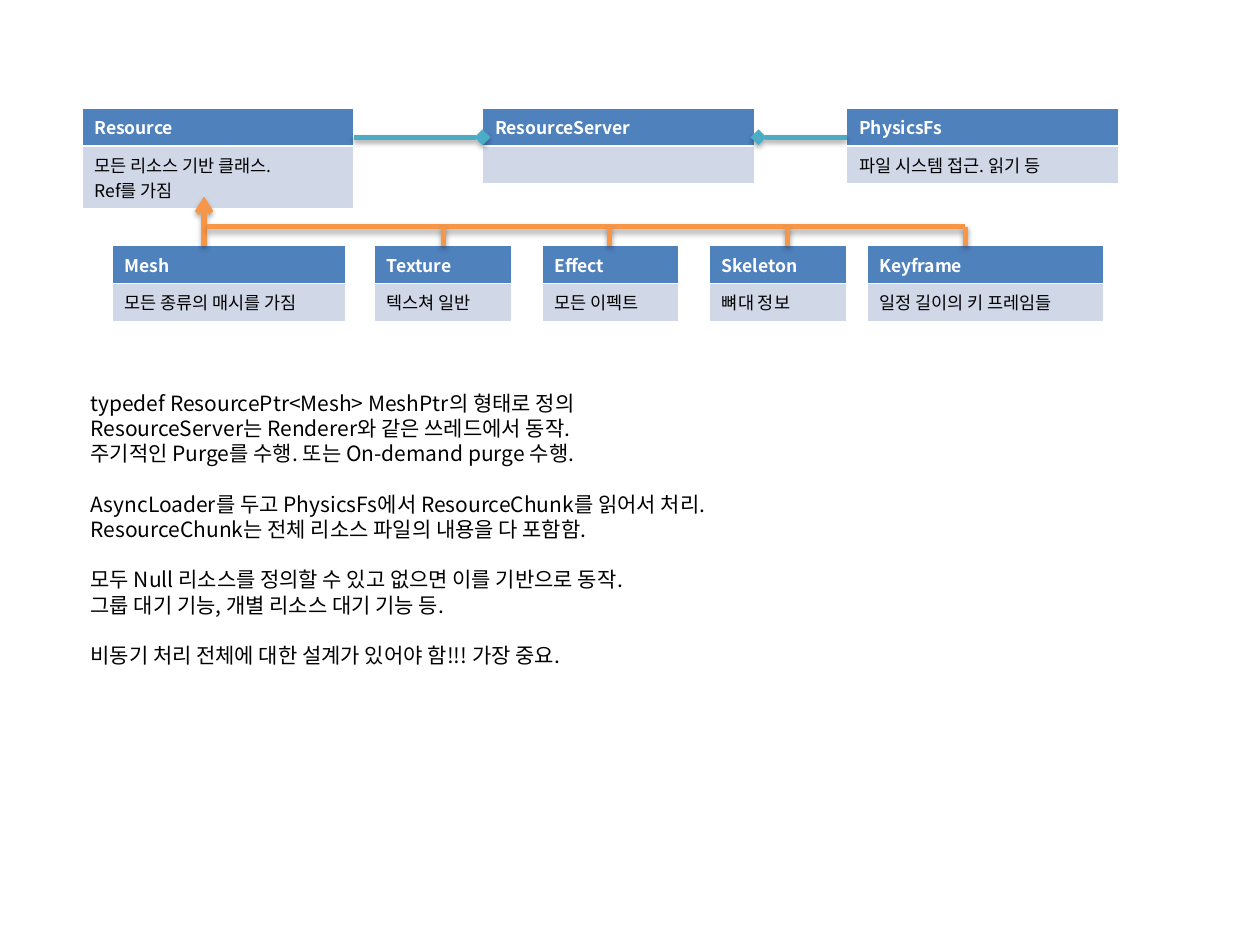
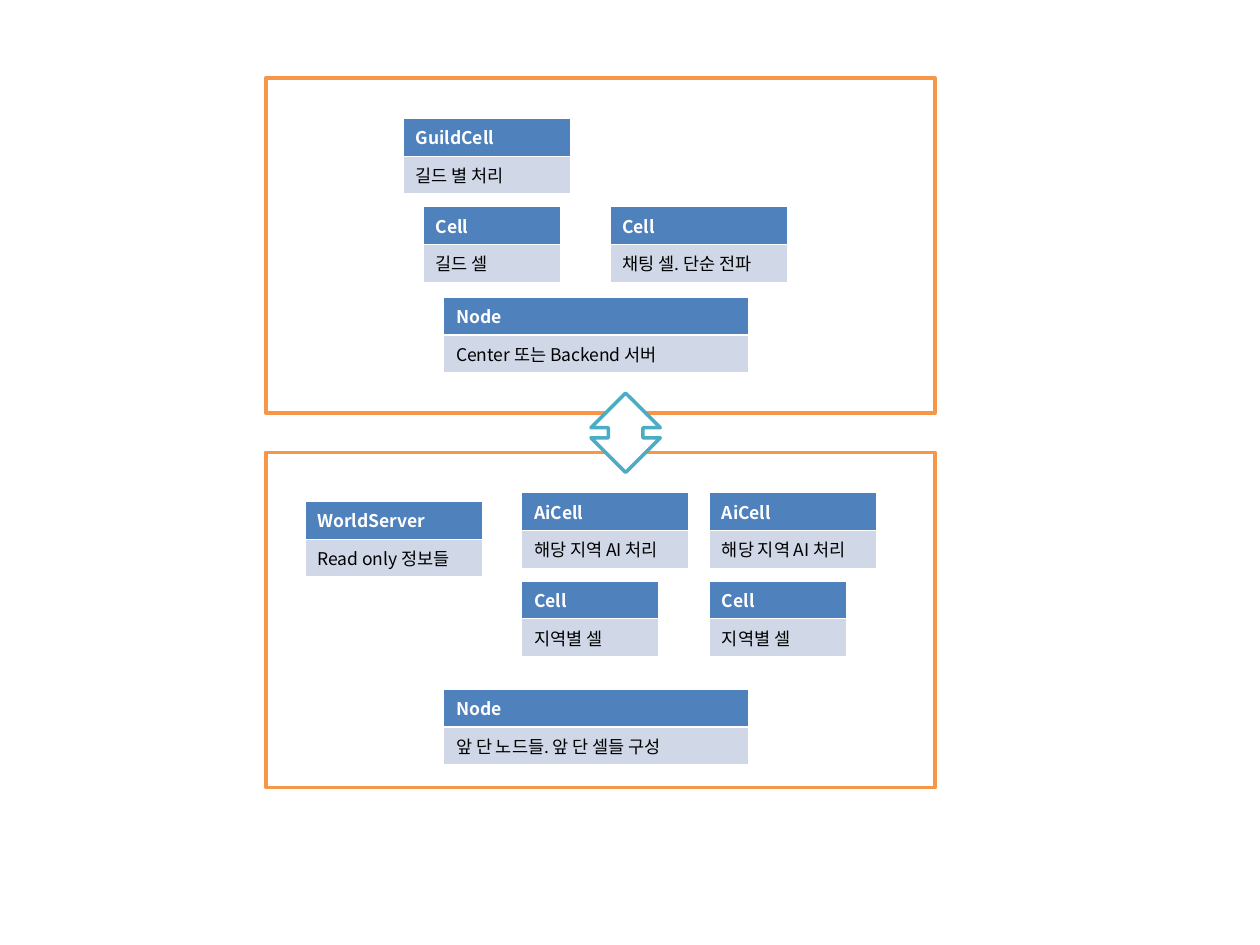
from dataclasses import dataclass

from lxml import etree
from pptx import Presentation
from pptx.dml.color import RGBColor
from pptx.enum.shapes import MSO_CONNECTOR, MSO_SHAPE
from pptx.oxml.ns import qn
from pptx.util import Inches, Pt

STRAIGHT = MSO_CONNECTOR.STRAIGHT
RECTANGLE = MSO_SHAPE.RECTANGLE
UP_DOWN_ARROW = MSO_SHAPE.UP_DOWN_ARROW

FONT = "Noto Sans CJK KR"
COLORS = {
    "header": "4F81BD",
    "body": "D0D8E8",
    "white": "FFFFFF",
    "text": "000000",
    "inherit": "F79646",
    "own": "4BACC6",
}
BLANK_LAYOUT = 6
HEADER_HEIGHT = 0.27
BODY_HEIGHT = 0.26
TALL_BODY_HEIGHT = 0.43
NOTE_LINE = Pt(14.4)

SERVER_TOP = 0.86
SERVER_WIDTH = 2.16
OWN_Y = 1.09
CHILD_TOP = 1.95
BUS_Y = 1.8
SMALL_WIDTH = 1.09
CELL_WIDTH = 1.33
WIDE_CELL_WIDTH = 1.41
NODE_LEFT, NODE_WIDTH = 3.52, 2.42
FRAME_LEFT, FRAME_WIDTH, FRAME_HEIGHT = 2.11, 5.31, 2.66


@dataclass
class ClassBox:
    name: str
    description: str
    left: float
    top: float
    width: float
    body_height: float = BODY_HEIGHT


@dataclass
class Link:
    start: tuple[float, float]
    end: tuple[float, float]
    color: str
    head: str = ""
    tail: str = ""


SERVER_BOXES = [
    ClassBox("Resource", "모든 리소스 기반 클래스. \nRef를 가짐", 0.65, SERVER_TOP,
             SERVER_WIDTH, TALL_BODY_HEIGHT),
    ClassBox("ResourceServer", "", 3.83, SERVER_TOP, SERVER_WIDTH),
    ClassBox("PhysicsFs", "파일 시스템 접근. 읽기 등", 6.72, SERVER_TOP, SERVER_WIDTH),
]
CHILD_BOXES = [
    ClassBox("Mesh", "모든 종류의 매시를 가짐", 0.89, CHILD_TOP, 1.85),
    ClassBox("Texture", "텍스쳐 일반", 2.97, CHILD_TOP, SMALL_WIDTH),
    ClassBox("Effect", "모든 이펙트", 4.3, CHILD_TOP, SMALL_WIDTH),
    ClassBox("Skeleton", "뼈대 정보", 5.63, CHILD_TOP, SMALL_WIDTH),
    ClassBox("Keyframe", "일정 길이의 키 프레임들", 6.88, CHILD_TOP, 1.88),
]
STEMS = [3.52, 4.84, 6.25, 7.66]
RESOURCE_LINKS = [
    Link((6.02, OWN_Y), (6.72, OWN_Y), "own", head="diamond"),
    Link((3.83, OWN_Y), (2.81, OWN_Y), "own", head="diamond"),
    Link((1.62, CHILD_TOP), (1.62, 1.56), "inherit", tail="arrow"),
    Link((1.64, BUS_Y), (STEMS[-1], BUS_Y), "inherit"),
] + [Link((x, BUS_Y), (x, CHILD_TOP), "inherit") for x in STEMS]

NOTE_GROUPS = [
    ["typedef ResourcePtr<Mesh> MeshPtr의 형태로 정의 ",
     "ResourceServer는 Renderer와 같은 쓰레드에서 동작. ",
     "주기적인 Purge를 수행. 또는 On-demand purge 수행. "],
    ["AsyncLoader를 두고 PhysicsFs에서 ResourceChunk를 읽어서 처리. ",
     "ResourceChunk는 전체 리소스 파일의 내용을 다 포함함. "],
    ["모두 Null 리소스를 정의할 수 있고 없으면 이를 기반으로 동작. ",
     "그룹 대기 기능, 개별 리소스 대기 기능 등."],
    ["비동기 처리 전체에 대한 설계가 있어야 함!!! 가장 중요."],
]

BACKEND_BOXES = [
    ClassBox("Node", "Center 또는 Backend 서버", NODE_LEFT, 2.36, NODE_WIDTH),
    ClassBox("Cell", "길드 셀", 3.36, 1.64, SMALL_WIDTH),
    ClassBox("GuildCell", "길드 별 처리", 3.2, 0.94, CELL_WIDTH),
    ClassBox("Cell", "채팅 셀. 단순 전파", 4.84, 1.64, WIDE_CELL_WIDTH),
]
FRONT_BOXES = [
    ClassBox("Node", "앞 단 노드들. 앞 단 셀들 구성", NODE_LEFT, 5.47, NODE_WIDTH),
    ClassBox("WorldServer", "Read only 정보들", 2.42, 3.98, WIDE_CELL_WIDTH),
]
for region_left in (4.14, 5.63):
    FRONT_BOXES += [
        ClassBox("Cell", "지역별 셀", region_left, 4.61, SMALL_WIDTH),
        ClassBox("AiCell", "해당 지역 AI 처리", region_left, 3.91, CELL_WIDTH),
    ]


def rgb(color: str) -> RGBColor:
    return RGBColor.from_string(COLORS[color])


def format_paragraph(paragraph, size: int, color: str, bold: bool = False) -> None:
    font = paragraph.font
    font.name, font.size, font.bold = FONT, Pt(size), bold
    font.color.rgb = rgb(color)
    properties = paragraph._p.pPr.find(qn("a:defRPr"))
    properties.find(qn("a:latin")).addnext(
        properties.makeelement(qn("a:ea"), {"typeface": FONT}))


def draw_class_box(slide, box: ClassBox) -> None:
    height = HEADER_HEIGHT + box.body_height
    frame = slide.shapes.add_table(2, 1, Inches(box.left), Inches(box.top),
                                   Inches(box.width), Inches(height))
    table = frame.table
    table.horz_banding = False
    rows = [
        (box.name, HEADER_HEIGHT, "header", "white", True),
        (box.description, box.body_height, "body", "text", False),
    ]
    for index, (text, row_height, fill, color, bold) in enumerate(rows):
        table.rows[index].height = Inches(row_height)
        cell = table.cell(index, 0)
        cell.text = text
        cell.fill.solid()
        cell.fill.fore_color.rgb = rgb(fill)
        for paragraph in cell.text_frame.paragraphs:
            format_paragraph(paragraph, 10, color, bold)
            if not text:
                paragraph._p.get_or_add_endParaRPr().set("sz", "1000")


def draw_link(slide, link: Link) -> None:
    points = [Inches(value) for value in (*link.start, *link.end)]
    connector = slide.shapes.add_connector(STRAIGHT, *points)
    connector.line.color.rgb = rgb(link.color)
    connector.line.width = Pt(3)
    line = connector.line._get_or_add_ln()
    for tag, kind in (("a:headEnd", link.head), ("a:tailEnd", link.tail)):
        if kind:
            etree.SubElement(line, qn(tag), type=kind)
    effects = etree.SubElement(connector._element.spPr, qn("a:effectLst"))
    shadow = etree.SubElement(effects, qn("a:outerShdw"), blurRad="40000",
                              dist="23000", dir="5400000", rotWithShape="0")
    shadow_color = etree.SubElement(shadow, qn("a:srgbClr"), val=COLORS["text"])
    etree.SubElement(shadow_color, qn("a:alpha"), val="35000")


def draw_outline(slide, kind, left: float, top: float, width: float,
                 height: float, color: str) -> None:
    shape = slide.shapes.add_shape(kind, Inches(left), Inches(top),
                                   Inches(width), Inches(height))
    shape.shadow.inherit = False
    shape.fill.solid()
    shape.fill.fore_color.rgb = rgb("white")
    shape.line.color.rgb = rgb(color)
    shape.line.width = Pt(2)


def draw_notes(slide, groups: list[list[str]]) -> None:
    text_box = slide.shapes.add_textbox(Inches(0.62), Inches(3.05),
                                        Inches(5.29), Inches(2.52))
    text_frame = text_box.text_frame
    text_frame.word_wrap = True
    text_frame.text = "\n".join(line for group in groups for line in group)
    group_starts = {group[0] for group in groups[1:]}
    for paragraph in text_frame.paragraphs:
        paragraph.line_spacing = NOTE_LINE
        if paragraph.text in group_starts:
            paragraph.space_before = NOTE_LINE
        format_paragraph(paragraph, 12, "text")


def build_resource_slide(presentation) -> None:
    slide = presentation.slides.add_slide(presentation.slide_layouts[BLANK_LAYOUT])
    for box in SERVER_BOXES + CHILD_BOXES:
        draw_class_box(slide, box)
    for link in RESOURCE_LINKS:
        draw_link(slide, link)
    draw_notes(slide, NOTE_GROUPS)


def build_server_slide(presentation) -> None:
    slide = presentation.slides.add_slide(presentation.slide_layouts[BLANK_LAYOUT])
    for frame_top, boxes in ((3.59, FRONT_BOXES), (0.62, BACKEND_BOXES)):
        draw_outline(slide, RECTANGLE, FRAME_LEFT, frame_top, FRAME_WIDTH,
                     FRAME_HEIGHT, "inherit")
        for box in boxes:
            draw_class_box(slide, box)
    draw_outline(slide, UP_DOWN_ARROW, 4.69, 3.12, 0.55, 0.63, "own")


presentation = Presentation()
presentation.slide_width = Inches(10)
presentation.slide_height = Inches(7.5)
build_resource_slide(presentation)
build_server_slide(presentation)
presentation.save("out.pptx")
